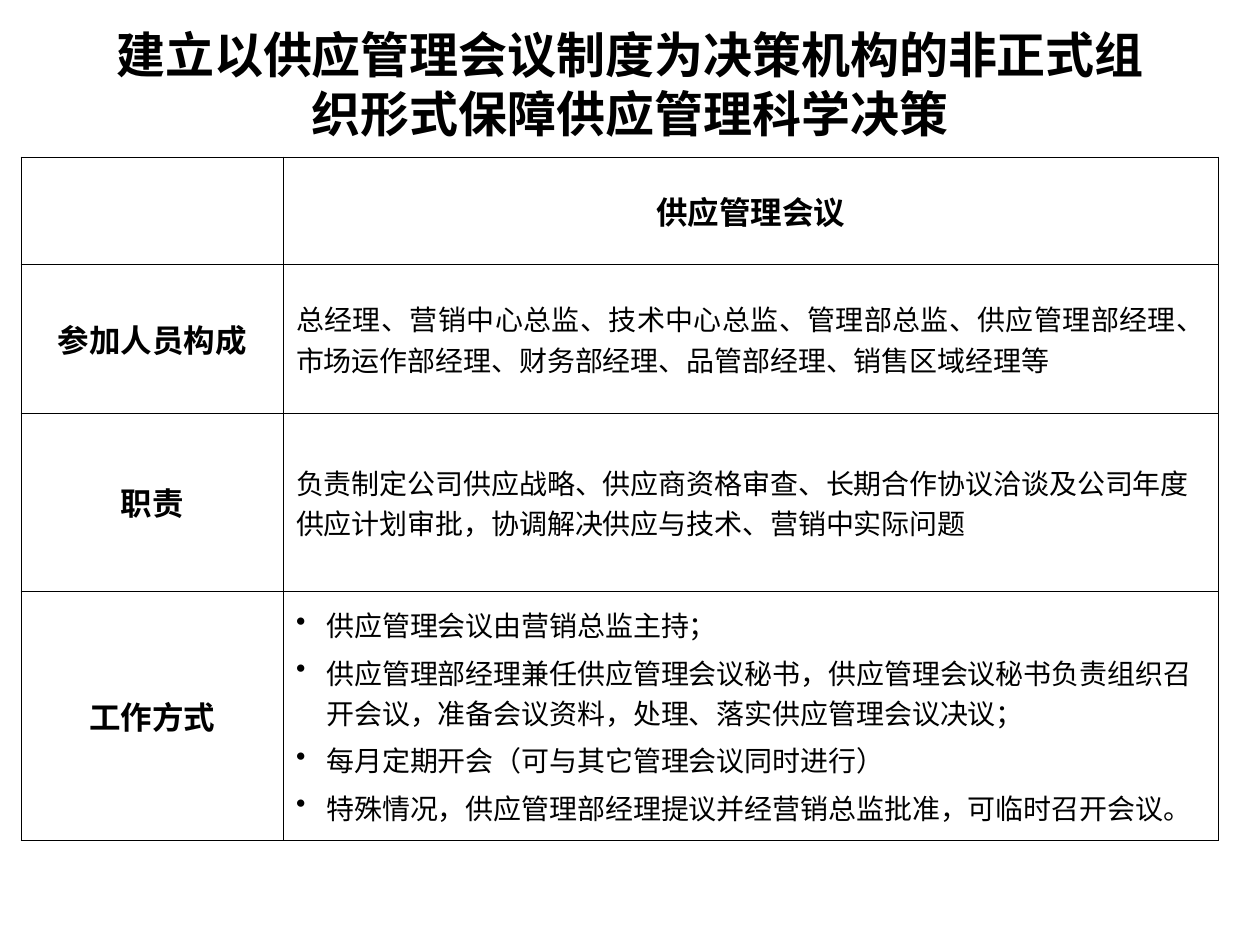
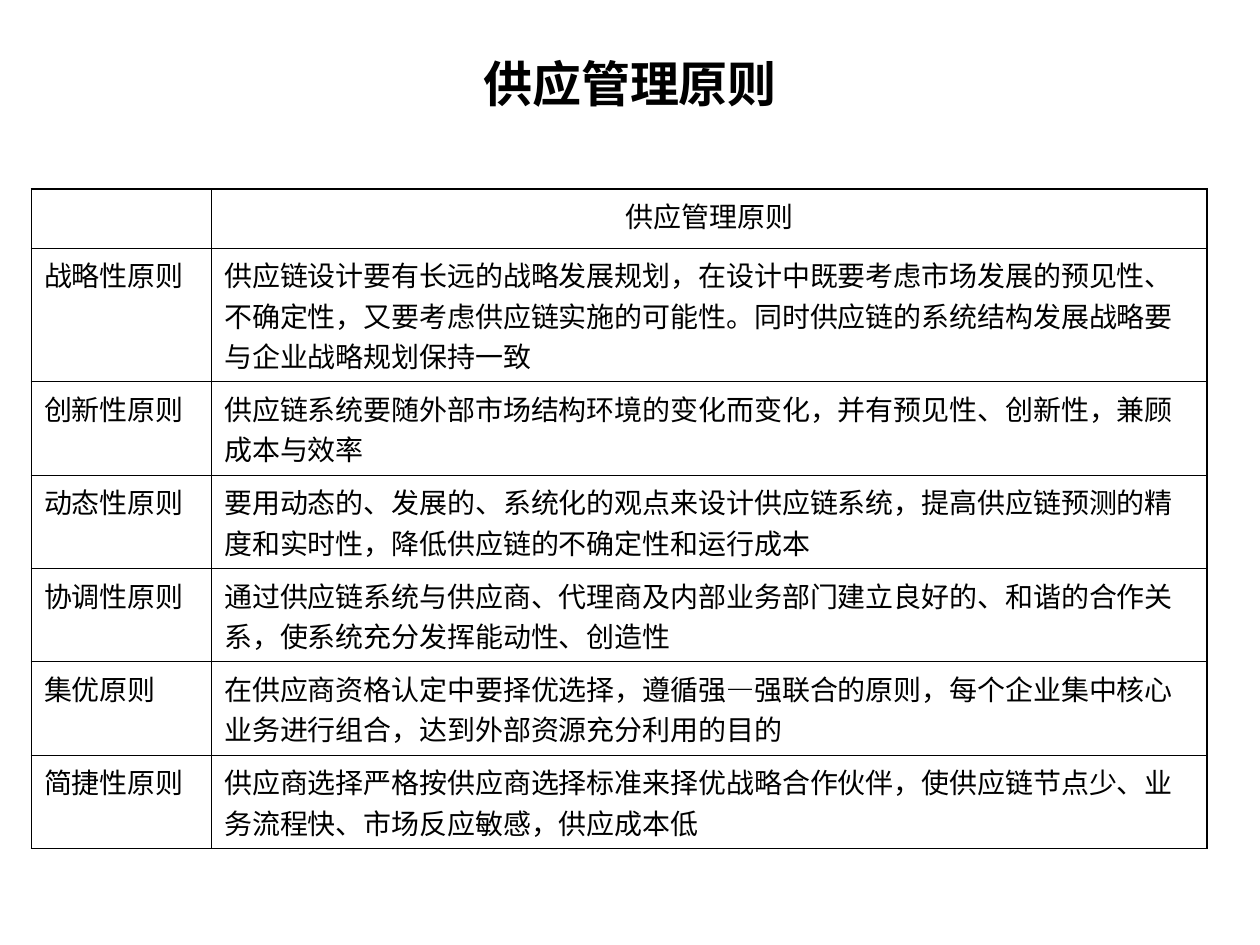
from pptx import Presentation
from pptx.dml.color import RGBColor
from pptx.enum.text import MSO_ANCHOR, MSO_AUTO_SIZE, PP_ALIGN
from pptx.oxml import parse_xml
from pptx.oxml.ns import nsdecls
from pptx.util import Inches, Pt

LEFT, CENTER, JUSTIFY = PP_ALIGN.LEFT, PP_ALIGN.CENTER, PP_ALIGN.JUSTIFY
TOP, MIDDLE = MSO_ANCHOR.TOP, MSO_ANCHOR.MIDDLE


def color(hex_text):
    return RGBColor.from_string(hex_text)


class Deck:
    ink = "000000"
    title_font = "Noto Sans CJK SC"
    body_font = "Times New Roman"
    outer_line = 1.08
    inner_line = 0.45
    bullet_indent = Inches(0.24)

    def __init__(self):
        self.presentation = Presentation()
        self.presentation.slide_width = Inches(10)
        self.presentation.slide_height = Inches(7.5)
        self.slide = None

    def set_font(self, paragraph, name, size, bold):
        font = paragraph.font
        font.name, font.size, font.bold = name, Pt(size), bold
        font.color.rgb = color(self.ink)

    def add_slide(self, title):
        layout = self.presentation.slide_layouts[5]
        self.slide = self.presentation.slides.add_slide(layout)
        shape = self.slide.shapes.title
        shape.left, shape.top = Inches(0.75), Inches(0.33)
        shape.width, shape.height = Inches(8.5), Inches(0.58)
        frame = shape.text_frame
        frame.word_wrap = True
        frame.auto_size = MSO_AUTO_SIZE.NONE
        frame.vertical_anchor = MIDDLE
        frame.margin_top = Inches(0.13)  # balances the tight line spacing
        frame.text = title
        paragraph = frame.paragraphs[0]
        paragraph.alignment = CENTER
        paragraph.line_spacing = Pt(33.6)
        self.set_font(paragraph, self.title_font, 28, True)

    def add_table(self, left, top, widths, heights):
        table = self.slide.shapes.add_table(
            len(heights), len(widths), Inches(left), Inches(top),
            Inches(sum(widths)), Inches(sum(heights))).table
        table.first_row = table.horz_banding = False
        for column, width in zip(table.columns, widths):
            column.width = Inches(width)
        for row, height in zip(table.rows, heights):
            row.height = Inches(height)
        last_row, last_column = len(heights) - 1, len(widths) - 1
        for r in range(len(heights)):
            for c in range(len(widths)):
                cell = table.cell(r, c)
                cell.fill.background()
                self.add_borders(cell, L=c == 0, R=c == last_column,
                                 T=r == 0, B=r == last_row)
        return table

    def add_borders(self, cell, **outer_sides):
        properties = cell._tc.get_or_add_tcPr()
        for index, (side, outer) in enumerate(outer_sides.items()):
            width = Pt(self.outer_line if outer else self.inner_line)
            properties.insert(index, parse_xml(
                f'<a:ln{side} {nsdecls("a")} w="{width}"><a:solidFill>'
                f'<a:srgbClr val="{self.ink}"/></a:solidFill></a:ln{side}>'))

    def add_bullet(self, paragraph):
        properties = paragraph._p.get_or_add_pPr()
        properties.set("marL", str(self.bullet_indent))
        properties.set("indent", str(-self.bullet_indent))
        properties.append(parse_xml(f'<a:buChar {nsdecls("a")} char="•"/>'))

    def fill_cell(self, cell, lines, size=16, bold=False, align=LEFT,
                  anchor=TOP, bullets=False):
        cell.vertical_anchor = anchor
        cell.text_frame.text = "\n".join(lines)
        for index, paragraph in enumerate(cell.text_frame.paragraphs):
            paragraph.alignment = align
            if index:
                paragraph.space_before = Pt(4)
            if bullets:
                self.add_bullet(paragraph)
            self.set_font(paragraph, self.body_font, size, bold)


def add_meeting_slide(deck):
    deck.add_slide("建立以供应管理会议制度为决策机构的非正式组织形式保障供应管理科学决策")
    table = deck.add_table(0.17, 1.25, [2.08, 7.42], [0.85, 1.18, 1.41, 1.98])

    # Headings
    headings = {(0, 1): "供应管理会议", (1, 0): "参加人员构成",
                (2, 0): "职责", (3, 0): "工作方式"}
    for position, heading in headings.items():
        deck.fill_cell(table.cell(*position), [heading], 18, True, CENTER, MIDDLE)

    # Members, duties and working method
    deck.fill_cell(table.cell(1, 1), [
        "总经理、营销中心总监、技术中心总监、管理部总监、供应管理部经理、"
        "市场运作部经理、财务部经理、品管部经理、销售区域经理等",
    ], align=JUSTIFY, anchor=MIDDLE)
    deck.fill_cell(table.cell(2, 1), [
        "负责制定公司供应战略、供应商资格审查、长期合作协议洽谈及公司年度"
        "供应计划审批，协调解决供应与技术、营销中实际问题",
    ], anchor=MIDDLE)
    deck.fill_cell(table.cell(3, 1), [
        "供应管理会议由营销总监主持；",
        "供应管理部经理兼任供应管理会议秘书，供应管理会议秘书负责组织召"
        "开会议，准备会议资料，处理、落实供应管理会议决议；",
        "每月定期开会（可与其它管理会议同时进行）",
        "特殊情况，供应管理部经理提议并经营销总监批准，可临时召开会议。",
    ], anchor=MIDDLE, bullets=True)


def add_principles_slide(deck):
    principles = {
        "战略性原则": "供应链设计要有长远的战略发展规划，在设计中既要考虑市场发展的预见性、"
                 "不确定性，又要考虑供应链实施的可能性。同时供应链的系统结构发展战略要"
                 "与企业战略规划保持一致",
        "创新性原则": "供应链系统要随外部市场结构环境的变化而变化，并有预见性、创新性，兼顾"
                 "成本与效率",
        "动态性原则": "要用动态的、发展的、系统化的观点来设计供应链系统，提高供应链预测的精"
                 "度和实时性，降低供应链的不确定性和运行成本",
        "协调性原则": "通过供应链系统与供应商、代理商及内部业务部门建立良好的、和谐的合作关"
                 "系，使系统充分发挥能动性、创造性",
        "集优原则": "在供应商资格认定中要择优选择，遵循强—强联合的原则，每个企业集中核心"
                "业务进行组合，达到外部资源充分利用的目的",
        "简捷性原则": "供应商选择严格按供应商选择标准来择优战略合作伙伴，使供应链节点少、业"
                 "务流程快、市场反应敏感，供应成本低",
    }
    deck.add_slide("供应管理原则")
    table = deck.add_table(0.25, 1.5, [1.43, 7.9], [0.47, 1.06] + [0.74] * 5)
    deck.fill_cell(table.cell(0, 1), ["供应管理原则"], align=CENTER)
    for row, (name, meaning) in enumerate(principles.items(), start=1):
        deck.fill_cell(table.cell(row, 0), [name])
        deck.fill_cell(table.cell(row, 1), [meaning])


def main():
    deck = Deck()
    add_meeting_slide(deck)
    add_principles_slide(deck)
    deck.presentation.save("out.pptx")


if __name__ == "__main__":
    main()
